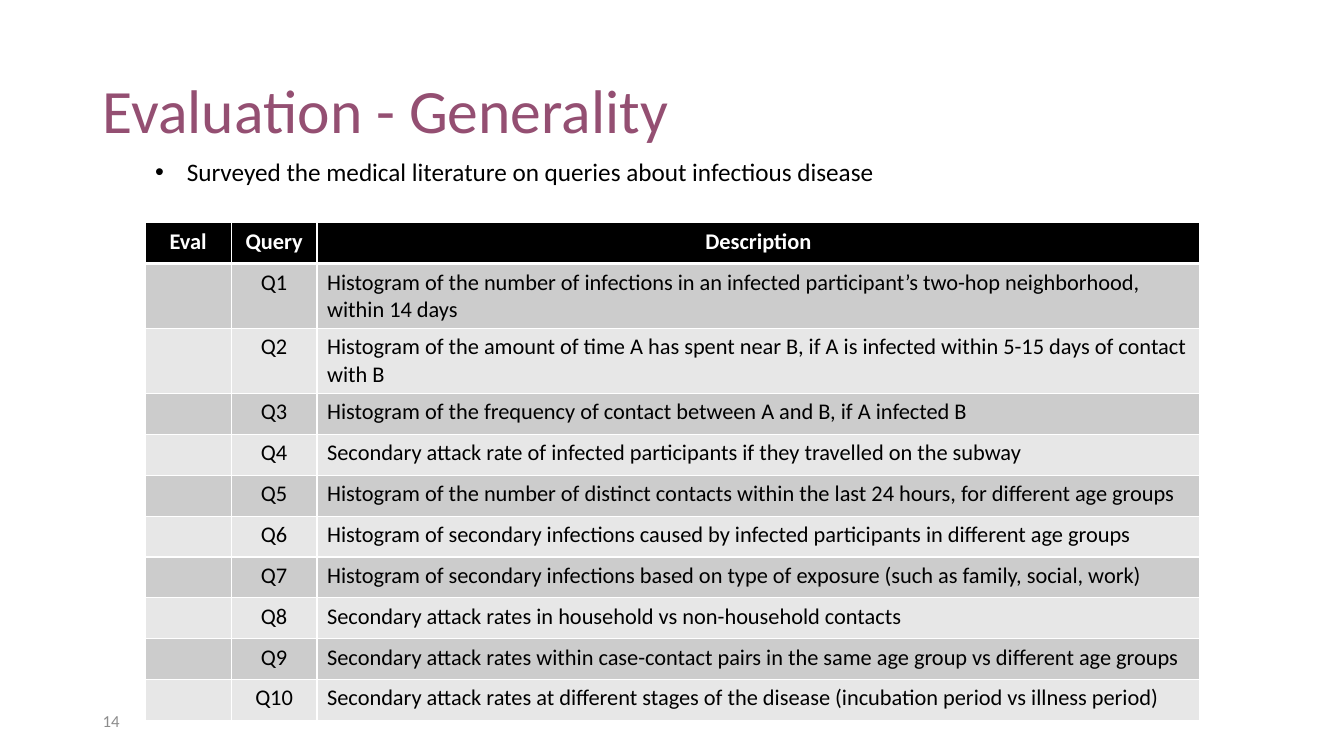
from lxml import etree
from pptx import Presentation
from pptx.dml.color import RGBColor
from pptx.enum.text import MSO_ANCHOR, PP_ALIGN
from pptx.oxml.ns import qn
from pptx.util import Pt

TITLE = "Evaluation - Generality"
BULLET = "Surveyed the medical literature on queries about infectious disease"
PAGE_NUMBER = "14"
HEADERS = ("Eval", "Query", "Description")
DESCRIPTIONS = (
    "Histogram of the number of infections in an infected participant’s two-hop neighborhood, within 14 days",
    "Histogram of the amount of time A has spent near B, if A is infected within 5-15 days of contact with B",
    "Histogram of the frequency of contact between A and B, if A infected B",
    "Secondary attack rate of infected participants if they travelled on the subway",
    "Histogram of the number of distinct contacts within the last 24 hours, for different age groups",
    "Histogram of secondary infections caused by infected participants in different age groups",
    "Histogram of secondary infections based on type of exposure (such as family, social, work)",
    "Secondary attack rates in household vs non-household contacts",
    "Secondary attack rates within case-contact pairs in the same age group vs different age groups",
    "Secondary attack rates at different stages of the disease (incubation period vs illness period)",
)
TWO_LINE_ROWS = (1, 2)

FONT = "Calibri"
PLUM = RGBColor(0x94, 0x4F, 0x72)
GRAY = RGBColor(0x8C, 0x8C, 0x8C)
BLACK = RGBColor(0, 0, 0)
WHITE = RGBColor(0xFF, 0xFF, 0xFF)
DARK_BAND = RGBColor(0xCC, 0xCC, 0xCC)
LIGHT_BAND = RGBColor(0xE7, 0xE7, 0xE7)
LEFT, CENTER = PP_ALIGN.LEFT, PP_ALIGN.CENTER
TOP, MIDDLE = MSO_ANCHOR.TOP, MSO_ANCHOR.MIDDLE

MARGIN = 66.24
CONTENT_LEFT = 103.68
TABLE_TOP = 159.12
COLUMN_WIDTHS = (61.4, 61.4, 630.5)
ROW_HEIGHT = 29.2
TWO_LINE_HEIGHT = 46.4
BULLET_INDENT = 22.5


def add_text(paragraph, text, size, color, bold=False, align=LEFT):
    paragraph.alignment = align
    run = paragraph.add_run()
    run.text = text
    run.font.name = FONT
    run.font.size = Pt(size)
    run.font.bold = bold
    run.font.color.rgb = color


def place(shape, left, top, width, height, anchor):
    shape.left, shape.top = Pt(left), Pt(top)
    shape.width, shape.height = Pt(width), Pt(height)
    shape.text_frame.word_wrap = True
    shape.text_frame.vertical_anchor = anchor
    return shape.text_frame.paragraphs[0]


def add_bullet(paragraph):
    properties = paragraph._p.get_or_add_pPr()
    properties.set("marL", str(Pt(BULLET_INDENT)))
    properties.set("indent", str(-Pt(BULLET_INDENT)))
    etree.SubElement(properties, qn("a:buFont")).set("typeface", "Arial")
    etree.SubElement(properties, qn("a:buChar")).set("char", "•")


def add_borders(cell, top, bottom):
    properties = cell._tc.get_or_add_tcPr()
    for side, width in (("L", 1), ("R", 1), ("T", top), ("B", bottom)):
        line = etree.SubElement(properties, qn(f"a:ln{side}"), w=str(Pt(width)))
        fill = etree.SubElement(line, qn("a:solidFill"))
        etree.SubElement(fill, qn("a:srgbClr"), val=str(WHITE))


def add_query_table(slide):
    rows = [HEADERS] + [("", f"Q{number}", description)
                        for number, description in enumerate(DESCRIPTIONS, 1)]
    heights = [TWO_LINE_HEIGHT if index in TWO_LINE_ROWS else ROW_HEIGHT
               for index in range(len(rows))]
    table = slide.shapes.add_table(
        len(rows), len(HEADERS), Pt(CONTENT_LEFT), Pt(TABLE_TOP),
        Pt(sum(COLUMN_WIDTHS)), Pt(sum(heights))).table
    for column, width in zip(table.columns, COLUMN_WIDTHS):
        column.width = Pt(width)
    for row_index, (values, height) in enumerate(zip(rows, heights)):
        table.rows[row_index].height = Pt(height)
        header = row_index == 0
        band = BLACK if header else DARK_BAND if row_index % 2 else LIGHT_BAND
        for column_index, value in enumerate(values):
            cell = table.cell(row_index, column_index)
            add_borders(cell, 3 if row_index == 1 else 1, 3 if header else 1)
            cell.fill.solid()
            cell.fill.fore_color.rgb = band
            if value:
                align = CENTER if header or column_index < 2 else LEFT
                add_text(cell.text_frame.paragraphs[0], value, 16,
                         WHITE if header else BLACK, header, align)


def main():
    presentation = Presentation()
    presentation.slide_width, presentation.slide_height = Pt(960), Pt(540)
    slide = presentation.slides.add_slide(presentation.slide_layouts[1])

    title = place(slide.shapes.title, MARGIN, 28.8, 828, 104.4, MIDDLE)
    title.line_spacing = 0.9
    add_text(title, TITLE, 44, PLUM)

    bullet = place(slide.placeholders[1], CONTENT_LEFT, 108, 534.24, 28.8, TOP)
    bullet.space_before = Pt(0)
    add_text(bullet, BULLET, 18, BLACK)
    add_bullet(bullet)

    number_box = slide.shapes.add_textbox(0, 0, 0, 0)
    number = place(number_box, MARGIN, 500.5, 216, 28.75, MIDDLE)
    add_text(number, PAGE_NUMBER, 12, GRAY)

    add_query_table(slide)
    presentation.save("out.pptx")


if __name__ == "__main__":
    main()
